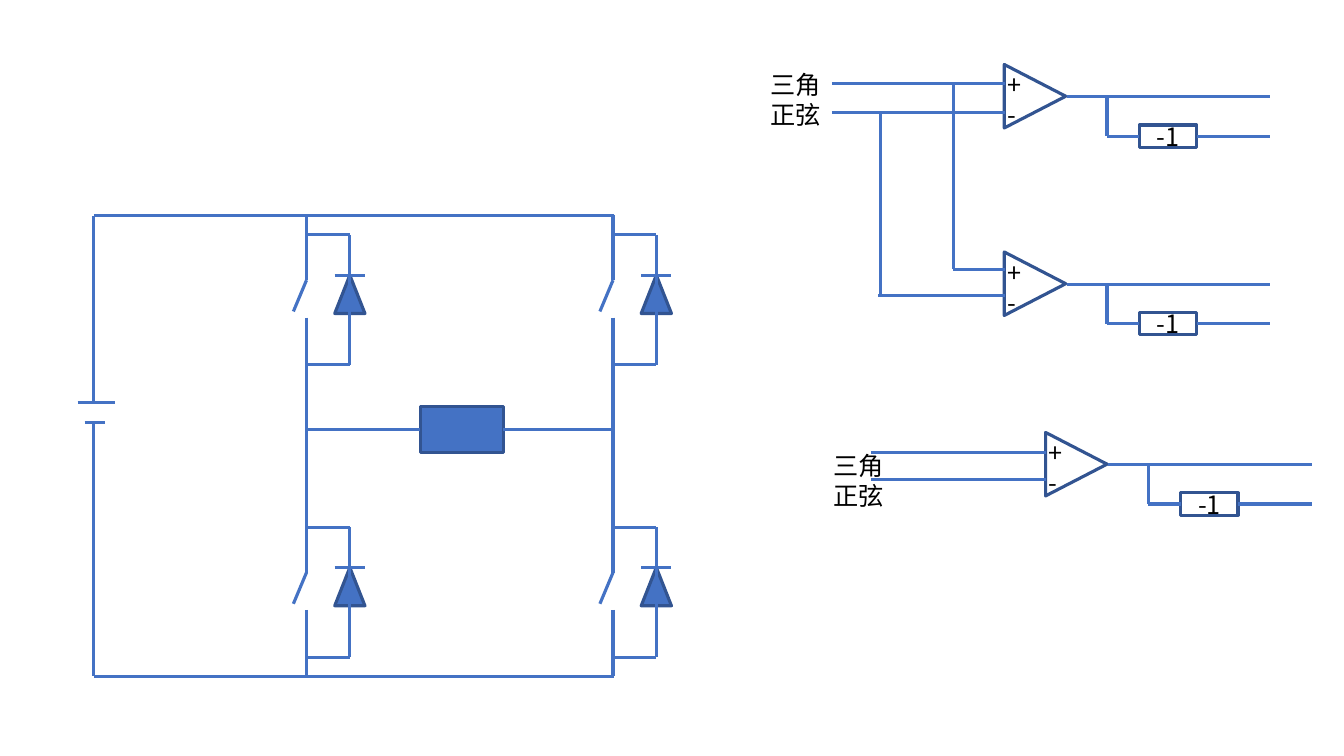
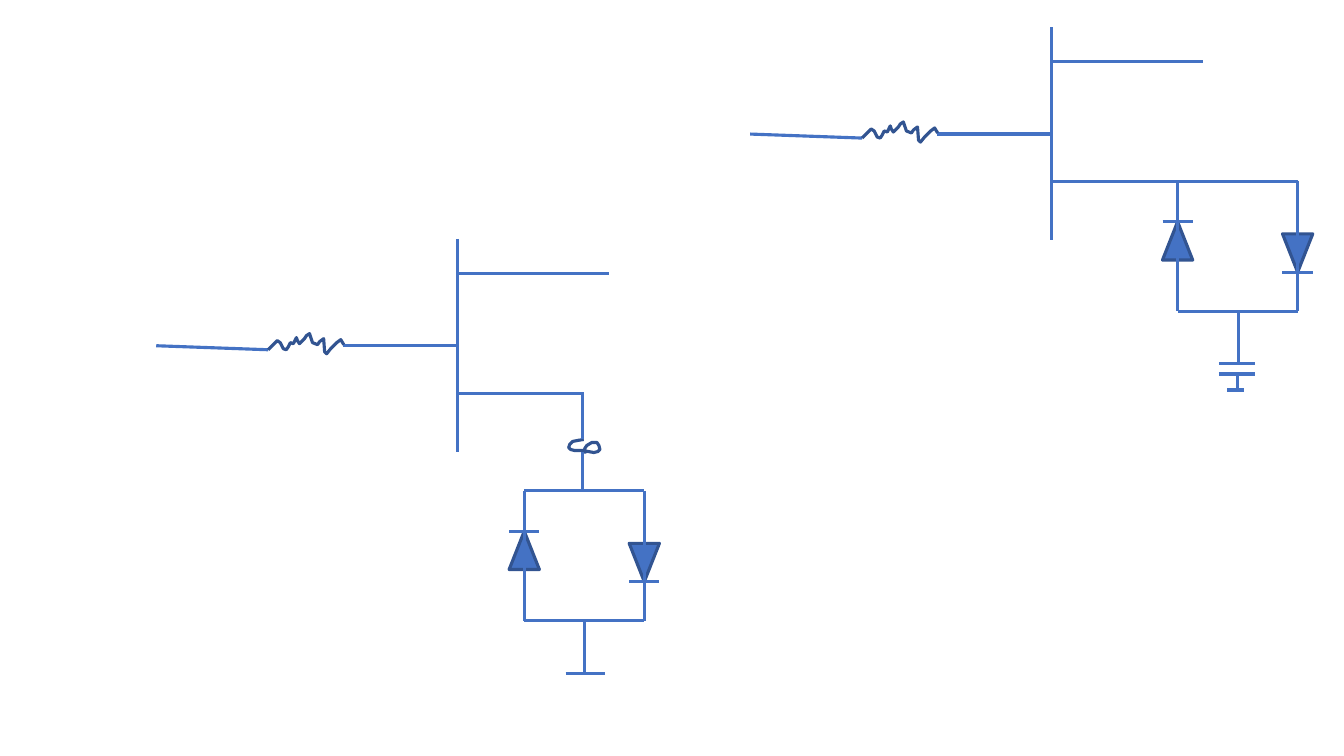
import pptx
import pptx.util
from lxml import etree
from pptx.dml.color import RGBColor
from pptx.enum.shapes import MSO_CONNECTOR, MSO_SHAPE
from pptx.enum.text import MSO_ANCHOR, MSO_AUTO_SIZE, PP_ALIGN
from pptx.oxml.ns import qn
from pptx.util import Inches

BLUE = RGBColor(0x44, 0x72, 0xC4)
DARK_BLUE = RGBColor(0x32, 0x54, 0x91)
BLACK = RGBColor(0, 0, 0)
FONT = "Noto Sans CJK SC"
LINE_WIDTH = pptx.util.Pt(2.25)


def wire(s, x1, y1, x2, y2):
    line = s.shapes.add_connector(
        MSO_CONNECTOR.STRAIGHT, Inches(x1), Inches(y1), Inches(x2), Inches(y2))
    line.line.color.rgb = BLUE
    line.line.width = LINE_WIDTH
    etree.SubElement(line._element.spPr, qn("a:effectLst"))


def outline(shape, fill=None):
    """Give a symbol its dark outline and an optional solid fill."""
    shape.shadow.inherit = False
    shape.line.color.rgb = DARK_BLUE
    shape.line.width = LINE_WIDTH
    if fill is None:
        shape.fill.background()
    else:
        shape.fill.solid()
        shape.fill.fore_color.rgb = fill


prs = pptx.Presentation()
prs.slide_width = Inches(13.33)
prs.slide_height = Inches(7.5)
inverter, clippers = [prs.slides.add_slide(prs.slide_layouts[6]) for _ in range(2)]

# Switch legs of the bridge inverter
diodes = []  # slide, centre x, top of lead, pointing up
for x in (3.04, 6.08):
    for y in (2.13, 5.03):
        diodes.append((inverter, x + 0.43, y + 0.2, True))
        wire(inverter, x, y, x, y + 0.65)
        wire(inverter, x, y + 0.65, x - 0.13, y + 0.96)
        wire(inverter, x, y + 1.02, x, y + 1.68)
        for tap in (y + 0.2, y + 1.49):
            wire(inverter, x, tap, x + 0.43, tap)
    wire(inverter, x, 3.81, x, 5.03)

# Rails, battery and load
load = inverter.shapes.add_shape(
    MSO_SHAPE.RECTANGLE, Inches(4.17), Inches(4.03), Inches(0.82), Inches(0.46))
outline(load, BLUE)
for ends in (
    (0.93, 2.14, 6.09, 2.14), (0.93, 6.71, 6.09, 6.71),
    (0.93, 2.14, 0.93, 3.99), (0.93, 4.19, 0.93, 6.71),
    (0.77, 3.99, 1.14, 3.99), (0.84, 4.19, 1.04, 4.19),
    (3.04, 4.26, 4.17, 4.26), (4.99, 4.26, 6.08, 4.26),
):
    wire(inverter, *ends)

# Comparators with a direct and an inverted output
labels = [(7.54, 0.64, 0.71, "三角", "正弦"), (8.17, 4.42, 0.71, "三角", "正弦")]
paragraphs = []
for x, y in ((9.95, 0.65), (9.95, 2.51), (10.36, 4.3)):
    comparator = inverter.shapes.add_shape(
        MSO_SHAPE.ISOSCELES_TRIANGLE, Inches(x), Inches(y), Inches(0.63), Inches(0.61))
    comparator.rotation = 90
    outline(comparator)
    negator = inverter.shapes.add_shape(
        MSO_SHAPE.RECTANGLE, Inches(x + 1.35), Inches(y + 0.59), Inches(0.57), Inches(0.22))
    outline(negator)
    tf = negator.text_frame
    tf.vertical_anchor = MSO_ANCHOR.MIDDLE
    tf.text = "-1"
    tf.paragraphs[0].alignment = PP_ALIGN.CENTER
    paragraphs.extend(tf.paragraphs)
    wire(inverter, x + 0.63, y + 0.31, x + 2.65, y + 0.31)
    wire(inverter, x + 1.03, y + 0.31, x + 1.03, y + 0.7)
    wire(inverter, x + 1.03, y + 0.7, x + 1.35, y + 0.7)
    wire(inverter, x + 1.92, y + 0.7, x + 2.65, y + 0.7)
    labels.append((x - 0.06, y - 0.01, 0.37, "+", "-"))

for ends in (
    (8.25, 0.83, 9.97, 0.83), (8.25, 1.12, 9.97, 1.12),
    (9.46, 0.82, 9.46, 2.67), (9.45, 2.67, 9.97, 2.67),
    (8.73, 1.12, 8.73, 2.95), (8.71, 2.93, 9.97, 2.93),
    (8.64, 4.49, 10.37, 4.49), (8.64, 4.76, 10.37, 4.76),
):
    wire(inverter, *ends)

for x, y, width, upper, lower in labels:
    tf = inverter.shapes.add_textbox(
        Inches(x), Inches(y), Inches(width), Inches(0.71)).text_frame
    tf.word_wrap = False
    tf.auto_size = MSO_AUTO_SIZE.SHAPE_TO_FIT_TEXT
    tf.text = upper
    tf.add_paragraph().text = lower
    paragraphs.extend(tf.paragraphs)

for p in paragraphs:
    p.font.name = FONT
    p.font.size = pptx.util.Pt(18)
    p.font.color.rgb = BLACK
    etree.SubElement(p.font._element, qn("a:ea"), typeface=FONT)

# Input resistor, bus and taps of both clippers
RESISTOR = (
    (-1.13, 1.05), (-1.16, 1.0), (-1.2, 1.03), (-1.26, 1.09), (-1.3, 1.14),
    (-1.32, 1.12), (-1.33, 0.99), (-1.37, 1.02), (-1.39, 1.05), (-1.44, 1.03),
    (-1.46, 0.97), (-1.47, 0.94), (-1.5, 0.96), (-1.52, 0.99), (-1.57, 1.04),
    (-1.59, 1.01), (-1.6, 0.98), (-1.63, 1.04), (-1.66, 1.03), (-1.68, 1.07),
    (-1.7, 1.1), (-1.73, 1.09), (-1.76, 1.03), (-1.79, 1.01), (-1.88, 1.1),
)
COIL = (
    (5.79, 4.36), (5.73, 4.37), (5.68, 4.38), (5.65, 4.41), (5.64, 4.44),
    (5.66, 4.46), (5.7, 4.47), (5.78, 4.47), (5.89, 4.49), (5.93, 4.48),
    (5.95, 4.46), (5.94, 4.42), (5.92, 4.39), (5.87, 4.39), (5.82, 4.42),
    (5.8, 4.45), (5.8, 4.5),
)
curves = [COIL]
for x, y in ((10.43, 0.27), (4.54, 2.37)):
    curves.append([(x + dx, y + dy) for dx, dy in RESISTOR])
    wire(clippers, x, y, x, y + 2.11)
    wire(clippers, x, y + 0.34, x + 1.5, y + 0.34)
    wire(clippers, x - 1.14, y + 1.06, x, y + 1.06)
    wire(clippers, x - 2.99, y + 1.06, x - 1.88, y + 1.1)
    wire(clippers, x, y + 1.53, x + 1.25, y + 1.53)

for curve in curves:
    points = [(Inches(x), Inches(y)) for x, y in curve]
    builder = clippers.shapes.build_freeform(*points[0])
    builder.add_line_segments(points[1:], close=False)
    outline(builder.convert_to_shape())

# Antiparallel diode pairs
for x, y in ((11.68, 1.8), (5.2, 4.87)):
    diodes += [(clippers, x, y, True), (clippers, x + 1.19, y, False)]
    for rail in (y, y + 1.29):
        wire(clippers, x, rail, x + 1.19, rail)
    wire(clippers, x + 0.6, y + 1.29, x + 0.6, y + 1.81)

# Capacitor, grounds and coil leads
for ends in (
    (12.09, 3.61, 12.45, 3.61), (12.09, 3.71, 12.45, 3.71),
    (12.27, 3.71, 12.27, 3.87), (12.17, 3.87, 12.34, 3.87),
    (5.61, 6.68, 6, 6.68), (5.78, 3.89, 5.78, 4.36), (5.78, 4.48, 5.78, 4.87),
):
    wire(clippers, *ends)

for s, x, y, up in diodes:
    body_top = y + (0.4 if up else 0.52)
    bar = body_top if up else body_top + 0.38
    body = s.shapes.add_shape(
        MSO_SHAPE.ISOSCELES_TRIANGLE, Inches(x - 0.15), Inches(body_top),
        Inches(0.3), Inches(0.38))
    body.rotation = 0 if up else 180
    outline(body, BLUE)
    wire(s, x - 0.15, bar, x + 0.15, bar)
    wire(s, x, y, x, y + 1.29)

prs.save("out.pptx")
